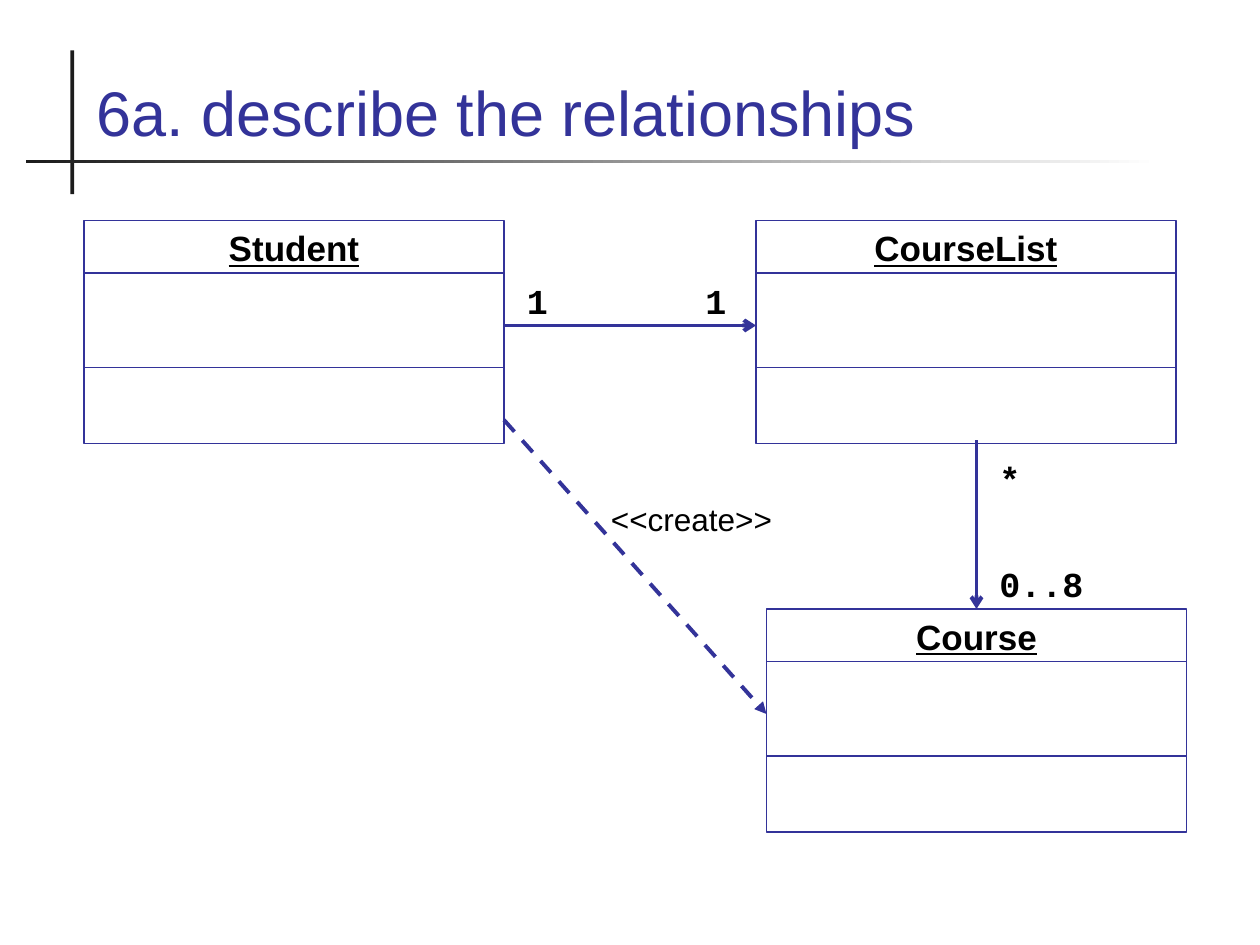
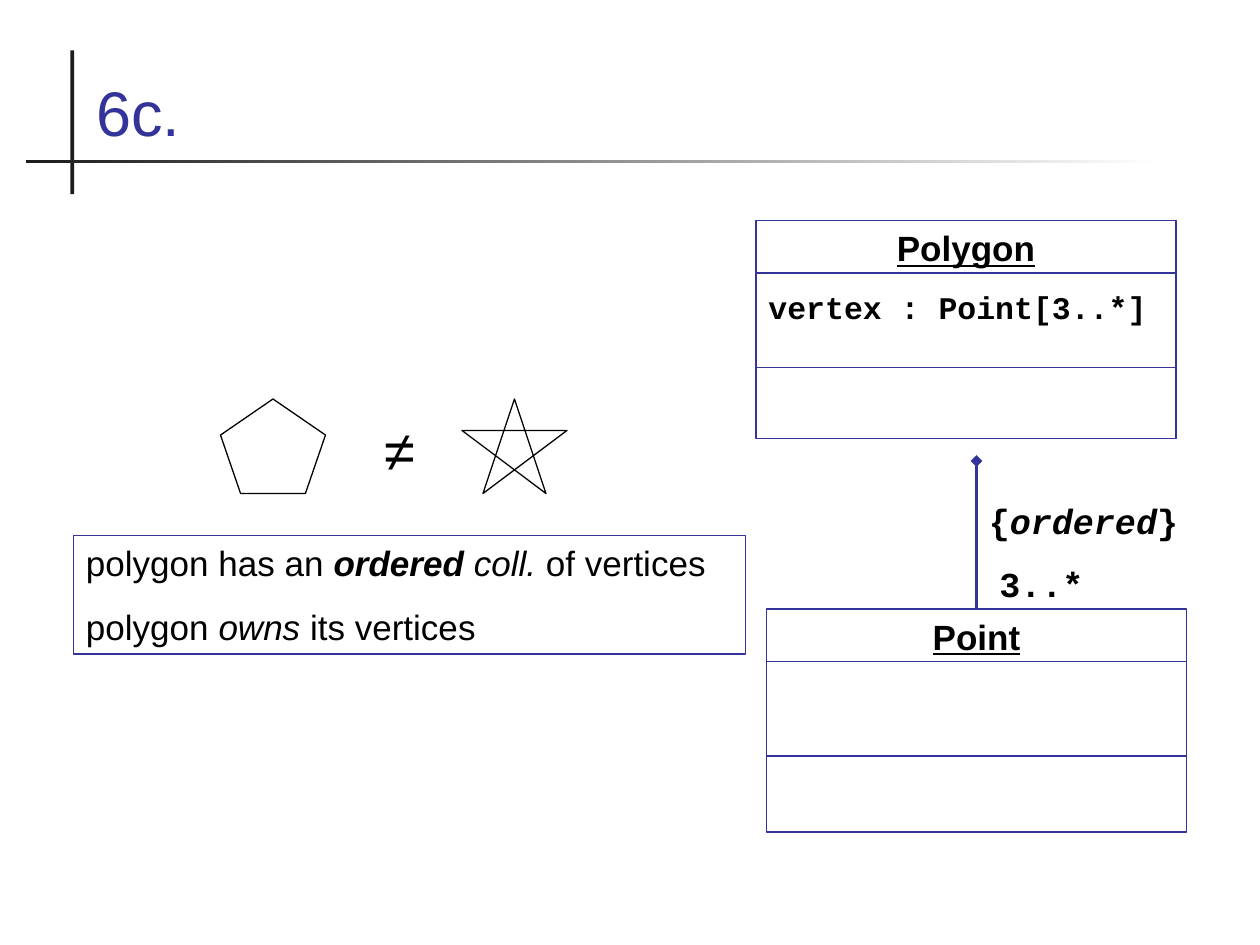
from dataclasses import dataclass

from lxml import etree
from pptx import Presentation
from pptx.dml.color import RGBColor
from pptx.enum.dml import MSO_LINE
from pptx.enum.shapes import MSO_CONNECTOR, MSO_SHAPE
from pptx.enum.text import MSO_ANCHOR, PP_ALIGN
from pptx.oxml.ns import qn
from pptx.util import Inches, Pt

RECTANGLE, PENTAGON = MSO_SHAPE.RECTANGLE, MSO_SHAPE.REGULAR_PENTAGON
STRAIGHT, DASHED = MSO_CONNECTOR.STRAIGHT, MSO_LINE.DASH
TOP, BOTTOM = MSO_ANCHOR.TOP, MSO_ANCHOR.BOTTOM
LEFT, CENTER = PP_ALIGN.LEFT, PP_ALIGN.CENTER


@dataclass(frozen=True)
class Theme:
    accent: RGBColor = RGBColor(0x33, 0x33, 0x99)
    ink: RGBColor = RGBColor(0, 0, 0)
    rule: RGBColor = RGBColor(0x1C, 0x1C, 0x1C)
    paper: RGBColor = RGBColor(0xFF, 0xFF, 0xFF)
    sans: str = "Arial"
    mono: str = "Courier New"
    title: Pt = Pt(36)
    symbol: Pt = Pt(32)
    body: Pt = Pt(20)
    small: Pt = Pt(18)
    thin: Pt = Pt(0.75)
    thick: Pt = Pt(2.25)


theme = Theme()
prs = Presentation()
prs.slide_width, prs.slide_height = Inches(10), Inches(7.5)
CELL = prs.slide_width // 120  # the slide is 120 columns by 90 rows

BODY = {"name": theme.sans, "size": theme.body}
SMALL = {"name": theme.sans, "size": theme.small}
TITLE = {"name": theme.sans, "size": theme.title}
SYMBOL = {"name": theme.sans, "size": theme.symbol}
CLASS_NAME = {**BODY, "bold": True, "underline": True}
ATTRIBUTE = {"name": theme.mono, "size": theme.small, "bold": True}
MULTIPLICITY = {"name": theme.mono, "size": theme.body, "bold": True}


def write(shape, paragraphs, color=theme.ink, anchor=TOP, wrap=True):
    """Fill a shape with (alignment, [(text, format), ...]) paragraphs."""
    frame = shape.text_frame
    frame.word_wrap, frame.vertical_anchor = wrap, anchor
    for index, (alignment, runs) in enumerate(paragraphs):
        paragraph = frame.add_paragraph() if index else frame.paragraphs[0]
        paragraph.alignment = alignment
        if index:
            paragraph.space_before = Pt(runs[0][1]["size"].pt * 0.625)
        for text, font_format in runs:
            run = paragraph.add_run()
            run.text = text
            run.font.color.rgb = color
            for attribute, value in font_format.items():
                setattr(run.font, attribute, value)


def connect(slide, start, end, width=theme.thin, dash=None, **tips):
    """Draw a line between grid points; tips are headEnd or tailEnd arrowheads."""
    points = [round(value * CELL) for value in (*start, *end)]
    line = slide.shapes.add_connector(STRAIGHT, *points)
    line.line.color.rgb, line.line.width = theme.accent, width
    if dash:
        line.line.dash_style = dash
    properties = line.element.spPr
    for tip, kind in tips.items():
        etree.SubElement(properties.find(qn("a:ln")), qn(f"a:{tip}"), type=kind)
    etree.SubElement(properties, qn("a:effectLst"))


PAGES = [
    {
        "title": "6a. describe the relationships",
        "classes": [
            ("Student", None, 8, 21, 21.25),
            ("CourseList", None, 72, 21, 21.25),
            ("Course", None, 73, 58, 21.25),
        ],
        "relations": [
            ((48, 31), (72, 31), None, {"tailEnd": "arrow"}),
            ((93, 58), (93, 41.9), None, {"headEnd": "arrow"}),
            ((48, 40), (73, 68), DASHED, {"tailEnd": "triangle"}),
        ],
        "labels": [
            (66, 26, 4.3, 5.3, [("1", MULTIPLICITY)]),
            (49, 26, 4.3, 5.3, [("1", MULTIPLICITY)]),
            (94, 53, 10.4, 5.3, [("0..8", MULTIPLICITY)]),
            (94, 43, 4.3, 5.3, [("*", MULTIPLICITY)]),
            (57, 47, 20, 4.8, [("<<create>>", SMALL)]),
        ],
    },
    {
        "title": "6c.",
        "classes": [
            ("Polygon", "vertex : Point[3..*]", 72, 21, 20.75),
            ("Point", None, 73, 58, 21.25),
        ],
        "relations": [((93, 58), (93, 43.9), None, {"tailEnd": "diamond"})],
        "labels": [
            (94, 53, 10.4, 5.3, [("3..*", MULTIPLICITY)]),
            (93, 47, 20.4, 5.3, [
                ("{", MULTIPLICITY),
                ("ordered", {**MULTIPLICITY, "italic": True}),
                ("}", MULTIPLICITY),
            ]),
            (35.4, 39, 6.6, 7.7, [("≠", SYMBOL)]),
        ],
    },
]

for page in PAGES:
    slide = prs.slides.add_slide(prs.slide_layouts[6])
    slide.background.fill.solid()
    slide.background.fill.fore_color.rgb = theme.paper

    # Crossed title rules
    for box in ((6.7, 4.8, 0.36, 13.7), (2.5, 15.2, 107.9, 0.36)):
        rule = slide.shapes.add_shape(RECTANGLE, *(round(v * CELL) for v in box))
        rule.shadow.inherit = False
        rule.line.fill.background()
        if rule.height > rule.width:
            rule.fill.solid()
            rule.fill.fore_color.rgb = theme.rule
        else:
            rule.fill.gradient()
            rule.fill.gradient_angle = 180
            for stop, color in zip(rule.fill.gradient_stops, (theme.paper, theme.rule)):
                stop.color.rgb = color

    title = slide.shapes.add_textbox(*(round(v * CELL) for v in (8, 3.4, 104, 11.4)))
    write(title, [(LEFT, [(page["title"], TITLE)])], theme.accent, BOTTOM)

    # Class boxes: name, attributes, operations
    for name, attribute, column, row, height in page["classes"]:
        box = (column, row, 40, height)
        class_box = slide.shapes.add_shape(RECTANGLE, *(round(v * CELL) for v in box))
        class_box.shadow.inherit = False
        class_box.fill.background()
        class_box.line.color.rgb, class_box.line.width = theme.accent, theme.thin
        content = [(CENTER, [(name, CLASS_NAME)])]
        if attribute:
            content.append((LEFT, [(attribute, ATTRIBUTE)]))
        write(class_box, content)
        for divider in (row + 5, row + 14):
            connect(slide, (column, divider), (column + 40, divider))

    for start, end, dash, tips in page["relations"]:
        connect(slide, start, end, theme.thick, dash, **tips)

    for *box, runs in page["labels"]:
        label = slide.shapes.add_textbox(*(round(v * CELL) for v in box))
        write(label, [(LEFT, runs)], wrap=False)

# Vertex order decides the figure: note, pentagon and star on the last slide
note = slide.shapes.add_shape(RECTANGLE, *(round(v * CELL) for v in (7, 51, 64, 11.3)))
write(note, [
    (LEFT, [
        ("polygon has an ", BODY),
        ("ordered", {**BODY, "bold": True, "italic": True}),
        (" coll.", {**BODY, "italic": True}),
        (" of vertices", BODY),
    ]),
    (LEFT, [
        ("polygon ", BODY),
        ("owns", {**BODY, "italic": True}),
        (" its vertices", BODY),
    ]),
])
pentagon = slide.shapes.add_shape(PENTAGON, *(v * CELL for v in (21, 38, 10, 9)))

corners = [(49, 38), (54, 41), (52, 47), (46, 47), (44, 41)]
star_path = [corners[2 * step % 5] for step in range(5)]
outline = slide.shapes.build_freeform(*star_path[0], scale=CELL)
outline.add_line_segments(star_path[1:], close=True)
star = outline.convert_to_shape()

for figure, color in ((note, theme.accent), (pentagon, theme.ink), (star, theme.ink)):
    figure.shadow.inherit = False
    figure.fill.background()
    figure.line.color.rgb, figure.line.width = color, theme.thin

prs.save("out.pptx")
